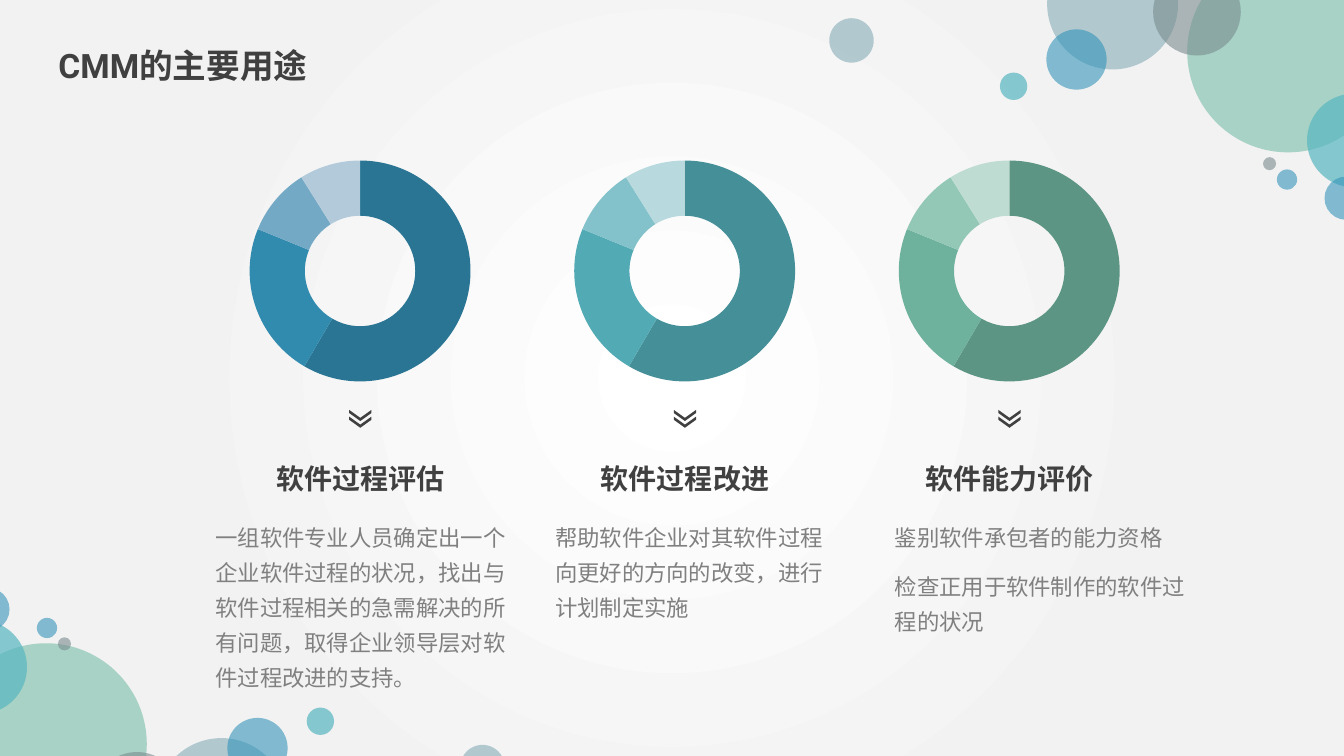
from dataclasses import dataclass

from lxml.etree import SubElement
from pptx import Presentation
from pptx.chart.chart import Chart
from pptx.chart.data import CategoryChartData
from pptx.dml.color import RGBColor
from pptx.enum.chart import XL_CHART_TYPE as ChartType
from pptx.enum.shapes import MSO_SHAPE as Preset
from pptx.enum.text import MSO_ANCHOR as Anchor, MSO_AUTO_SIZE as AutoSize, PP_ALIGN as Align
from pptx.oxml import parse_xml
from pptx.oxml.ns import nsdecls, qn
from pptx.shapes.autoshape import Shape
from pptx.slide import Slide
from pptx.util import Cm, Pt

FONT = "Roboto"
DARK = RGBColor(0x40, 0x40, 0x40)
GREY = RGBColor(0x80, 0x80, 0x80)
BLACK = RGBColor(0x00, 0x00, 0x00)
MIST = RGBColor(0x84, 0xAC, 0xB6)
GREEN = RGBColor(0x75, 0xBD, 0xA7)
SLATE = RGBColor(0x7A, 0x8C, 0x8E)
BLUE = RGBColor(0x34, 0x94, 0xBA)
TEAL = RGBColor(0x58, 0xB6, 0xC0)
BLUE_RING = tuple(map(RGBColor.from_string, ("297593", "318BAE", "74A9C6", "B2CADA")))
TEAL_RING = tuple(map(RGBColor.from_string, ("459098", "52AAB4", "83C2CA", "B8D9DD")))
GREEN_RING = tuple(map(RGBColor.from_string, ("5C9584", "6EB19C", "93C8B7", "BFDCD2")))

SHARES = (59, 23, 10, 9)
COLUMN_PITCH = 8.18
DETAIL_PITCH = 8.56
MIRROR_X, MIRROR_Y = 33.62, 20.35


@dataclass(frozen=True)
class Bubble:
    left: float
    top: float
    size: float
    color: RGBColor
    opacity: int = 60
    mirror_lift: float = 0


@dataclass(frozen=True)
class Purpose:
    heading: str
    details: tuple[str, ...]
    ring: tuple[RGBColor, ...]
    detail_width: float
    detail_height: float


BUBBLES = (
    Bubble(26.39, -1.55, 3.3, MIST),
    Bubble(29.92, -1.24, 5.08, GREEN, mirror_lift=0.3),
    Bubble(29.06, -0.81, 2.21, SLATE),
    Bubble(26.37, 0.74, 1.52, BLUE),
    Bubble(32.94, 2.36, 2.36, TEAL, 70),
    Bubble(25.2, 1.83, 0.69, TEAL, 70),
    Bubble(33.38, 4.45, 1.09, BLUE),
    Bubble(32.18, 4.27, 0.51, BLUE),
    Bubble(31.83, 3.96, 0.33, SLATE),
    Bubble(20.9, 0.46, 1.12, MIST),
)

PURPOSES = (
    Purpose(
        "软件过程评估",
        ("一组软件专业人员确定出一个企业软件过程的状况，找出与软件过程相关的急需解决的所有问题，"
         "取得企业领导层对软件过程改进的支持。",),
        BLUE_RING, 8.38, 5.13,
    ),
    Purpose(
        "软件过程改进",
        ("帮助软件企业对其软件过程向更好的方向的改变，进行计划制定实施",),
        TEAL_RING, 7.59, 3.07,
    ),
    Purpose(
        "软件能力评价",
        ("鉴别软件承包者的能力资格", "检查正用于软件制作的软件过程的状况"),
        GREEN_RING, 8.28, 3.07,
    ),
)


def paint_background(slide: Slide) -> None:
    slide.background.fill.gradient()
    linear = slide._element.xpath(".//p:bgPr/a:gradFill")[0]
    stops = "".join(
        f'<a:gs pos="{position}"><a:srgbClr val="{color}"/></a:gs>'
        for position, color in ((0, "FFFFFF"), (67000, "F2F2F2"), (100000, "F2F2F2"))
    )
    radial = parse_xml(
        f'<a:gradFill {nsdecls("a")} rotWithShape="1"><a:gsLst>{stops}</a:gsLst>'
        '<a:path path="circle"><a:fillToRect l="50000" t="50000" r="50000" b="50000"/>'
        "</a:path></a:gradFill>"
    )
    linear.getparent().replace(linear, radial)


def add_filled(slide: Slide, preset: Preset, left: float, top: float,
               width: float, height: float, color: RGBColor) -> Shape:
    filled = slide.shapes.add_shape(preset, Cm(left), Cm(top), Cm(width), Cm(height))
    filled.shadow.inherit = False
    filled.fill.solid()
    filled.fill.fore_color.rgb = color
    filled.line.fill.background()
    return filled


def add_bubble(slide: Slide, bubble: Bubble, mirrored: bool) -> None:
    left, top = bubble.left, bubble.top
    if mirrored:
        left = MIRROR_X - left - bubble.size
        top = MIRROR_Y - top - bubble.size - bubble.mirror_lift
    circle = add_filled(slide, Preset.OVAL, left, top, bubble.size, bubble.size, bubble.color)
    tint = circle._element.xpath("./p:spPr/a:solidFill/a:srgbClr")[0]
    SubElement(tint, qn("a:alpha"), val=str(bubble.opacity * 1000))


def write_text(holder: Shape, texts: tuple[str, ...], size: int, color: RGBColor,
               bold: bool = False, align: Align = Align.LEFT) -> None:
    frame = holder.text_frame
    frame.word_wrap = True
    frame.auto_size = AutoSize.NONE
    frame.vertical_anchor = Anchor.TOP
    for index, text in enumerate(texts):
        paragraph = frame.add_paragraph() if index else frame.paragraphs[0]
        paragraph.text = text
        paragraph.alignment = align
        paragraph.line_spacing = 1.3
        paragraph.space_before = Pt(10 if index else 0)
        paragraph.font.name = FONT
        paragraph.font.size = Pt(size)
        paragraph.font.bold = bold
        paragraph.font.color.rgb = color


def clear_chart_area(chart: Chart) -> None:
    plot_area = chart._chartSpace.chart.plotArea
    for layout in plot_area.findall(qn("c:layout")):
        plot_area.remove(layout)
    sides = "".join(
        f'<c:{side} val="{value}"/>'
        for side, value in (("x", 0.055), ("y", 0.065), ("w", 0.89), ("h", 0.87))
    )
    plot_area.insert(0, parse_xml(
        f'<c:layout {nsdecls("c")}><c:manualLayout><c:layoutTarget val="inner"/>'
        f'<c:xMode val="edge"/><c:yMode val="edge"/>{sides}</c:manualLayout></c:layout>'
    ))
    clear = (f'<c:spPr {nsdecls("c", "a")}><a:noFill/>'
             "<a:ln><a:noFill/></a:ln></c:spPr>")
    plot_area.append(parse_xml(clear))
    chart._chartSpace.chart.addnext(parse_xml(clear))


def add_ring(slide: Slide, left: float, colors: tuple[RGBColor, ...]) -> None:
    shares = CategoryChartData()
    shares.categories = [str(number) for number in range(1, len(SHARES) + 1)]
    shares.add_series("Series 1", SHARES)
    chart = slide.shapes.add_chart(
        ChartType.DOUGHNUT, Cm(left), Cm(3.63), Cm(6.27), Cm(6.4), shares
    ).chart
    chart.has_legend = False
    chart.has_title = False
    chart.font.name = FONT
    chart.font.size = Pt(10)
    chart.font.color.rgb = BLACK
    ring = chart.plots[0]
    ring.vary_by_categories = True
    ring.has_data_labels = False
    ring._element.find(qn("c:holeSize")).set("val", "43")
    for index, color in enumerate(colors):
        sector = ring.series[0].points[index].format
        sector.fill.solid()
        sector.fill.fore_color.rgb = color
        sector.line.fill.background()
    clear_chart_area(chart)


def add_purpose(slide: Slide, column: int, purpose: Purpose) -> None:
    shift = column * COLUMN_PITCH
    add_ring(slide, 5.94 + shift, purpose.ring)
    details = slide.shapes.add_textbox(
        Cm(5.18 + column * DETAIL_PITCH), Cm(12.88),
        Cm(purpose.detail_width), Cm(purpose.detail_height),
    )
    write_text(details, purpose.details, 16, GREY)
    heading = slide.shapes.add_textbox(Cm(4.93 + shift), Cm(11.25), Cm(8.31), Cm(1.65))
    write_text(heading, (purpose.heading,), 20, DARK, True, Align.CENTER)
    for top in (10.19, 10.36):
        arrow = add_filled(slide, Preset.CHEVRON, 8.94 + shift, top, 0.28, 0.56, DARK)
        arrow.adjustments[0] = 0.717
        arrow.rotation = 90


def main() -> None:
    deck = Presentation()
    deck.slide_width, deck.slide_height = Cm(33.87), Cm(19.05)
    slide = deck.slides.add_slide(deck.slide_layouts[5])
    paint_background(slide)
    for mirrored in (False, True):
        for bubble in BUBBLES:
            add_bubble(slide, bubble, mirrored)
    title = slide.shapes.title
    title.left, title.top, title.width, title.height = Cm(1.22), Cm(0.71), Cm(9.45), Cm(1.12)
    write_text(title, ("CMM的主要用途",), 24, DARK, True)
    for column, purpose in enumerate(PURPOSES):
        add_purpose(slide, column, purpose)
    deck.save("out.pptx")


if __name__ == "__main__":
    main()
